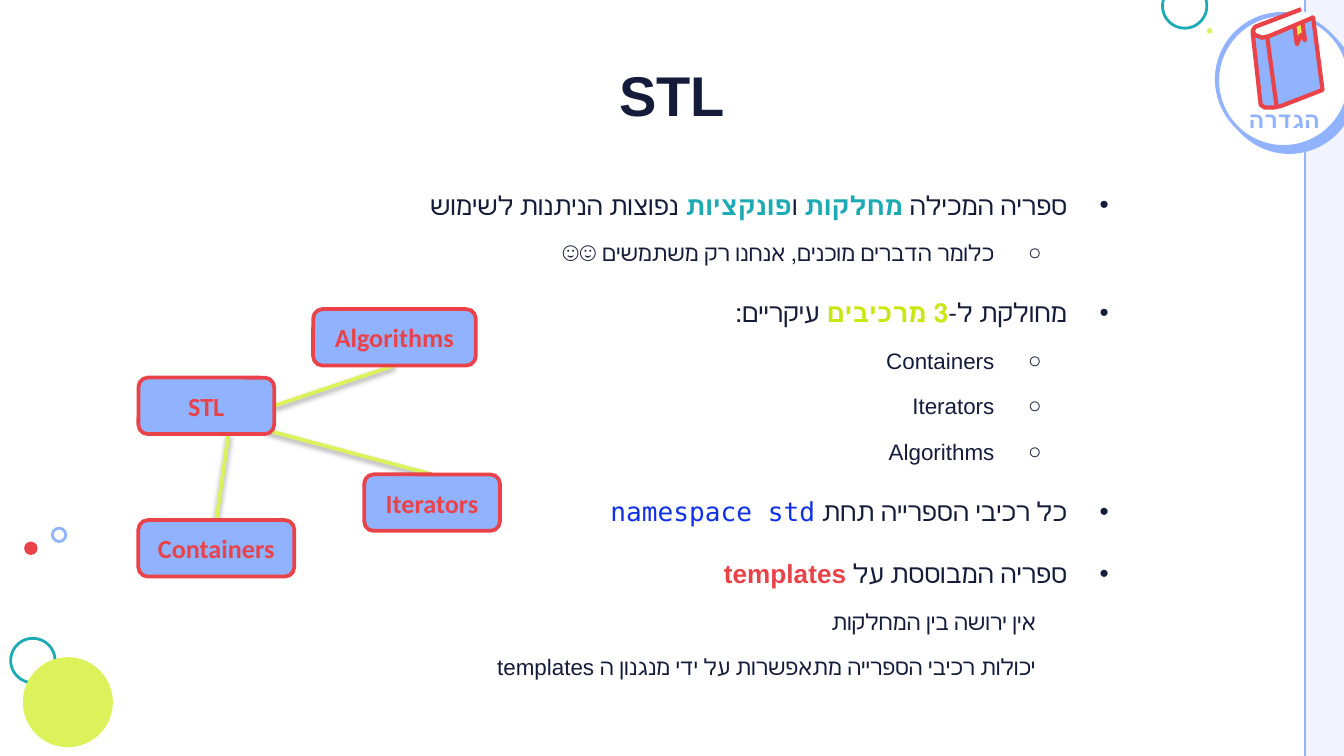
from lxml import etree
from pptx import Presentation
from pptx.dml.color import RGBColor
from pptx.enum import shapes, text
from pptx.oxml.ns import qn
from pptx.util import Inches, Pt

NAVY, BLUE, PALE, WHITE = "141C3A", "91B3FF", "F1F3FE", "FFFFFF"
TEAL, LIME, DARK_LIME, RED, CODE = "1CABB5", "DCF25B", "C8E712", "E94249", "1031E7"
WIDTH = 10
HEIGHT = WIDTH * 9 / 16


def color(hex_string):
    return RGBColor.from_string(hex_string)


def child(parent, tag, **attributes):
    return etree.SubElement(parent, qn(tag), {k: str(v) for k, v in attributes.items()})


def add_shadow(shape, hex_string, opacity, blur, distance, angle):
    effects = shape._element.spPr.find(qn("a:effectLst"))
    outer = child(effects, "a:outerShdw", blurRad=Pt(blur), dist=Pt(distance),
                  dir=angle * 60000, algn="ctr", rotWithShape=0)
    tint = child(outer, "a:srgbClr", val=hex_string)
    child(tint, "a:alpha", val=opacity * 1000)


def paint(shape, fill=None, line=None, width=1.5):
    shape.shadow.inherit = False
    if fill:
        shape.fill.solid()
        shape.fill.fore_color.rgb = color(fill)
    else:
        shape.fill.background()
    if line:
        shape.line.color.rgb = color(line)
        shape.line.width = Pt(width)
    else:
        shape.line.fill.background()


def add_preset(slide, preset, box, **style):
    shape = slide.shapes.add_shape(preset, *map(Inches, box))
    paint(shape, **style)
    return shape


def add_line(slide, start, end, hex_string, width):
    line = slide.shapes.add_connector(shapes.MSO_CONNECTOR.STRAIGHT,
                                      *map(Inches, start + end))
    line.line.color.rgb = color(hex_string)
    line.line.width = Pt(width)
    child(line._element.spPr, "a:effectLst")
    return line


def add_outline(slide, points, fill=None):
    corners = [(Inches(x), Inches(y)) for x, y in points]
    builder = slide.shapes.build_freeform(*corners[0])
    builder.add_line_segments(corners[1:], close=False)
    paint(builder.convert_to_shape(), fill, RED, 2.25)


def style_font(paragraph, size, hex_string, name="Arial", bold=False):
    font = paragraph.font
    font.size, font.name, font.bold = Pt(size), name, bold
    font.color.rgb = color(hex_string)


def add_text_box(slide, box, anchor):
    frame = slide.shapes.add_textbox(*map(Inches, box)).text_frame
    frame.word_wrap = True
    frame.vertical_anchor = anchor
    frame.margin_left = frame.margin_right = frame.margin_top = frame.margin_bottom = 0
    return frame


def add_label(slide, box, wording, size, hex_string, anchor, spacing=1.0):
    paragraph = add_text_box(slide, box, anchor).paragraphs[0]
    paragraph.text = wording
    paragraph.alignment = text.PP_ALIGN.CENTER
    paragraph.line_spacing = spacing
    paragraph._p.get_or_add_pPr().set("rtl", "1")
    style_font(paragraph, size, hex_string, bold=True)


def add_points(slide, box, points):
    frame = add_text_box(slide, box, text.MSO_ANCHOR.MIDDLE)
    frame.margin_bottom = Inches(0.22)
    # level, bullet, margin, indent, size, space before
    kinds = {"main": (0, "•", 0.46, -0.31, 14, 16.5),
             "sub": (1, "○", 1, -0.35, 12, 10),
             "plain": (1, None, 0.69, 0, 12, 10)}
    for i, (kind, *runs) in enumerate(points):
        level, bullet, margin, indent, size, before = kinds[kind]
        paragraph = frame.add_paragraph() if i else frame.paragraphs[0]
        paragraph.level = level
        paragraph.alignment = text.PP_ALIGN.RIGHT
        paragraph.space_before = Pt(before if i else 0)
        properties = paragraph._p.get_or_add_pPr()
        for key, value in (("rtl", 1), ("marL", Inches(margin)), ("marR", 0),
                           ("indent", Inches(indent))):
            properties.set(key, str(value))
        if bullet:
            child(child(properties, "a:buClr"), "a:srgbClr", val=NAVY)
            child(properties, "a:buFont", typeface="Arial")
            child(properties, "a:buChar", char=bullet)
        style_font(paragraph, size, NAVY)
        for wording, accent in runs:
            run = paragraph.add_run()
            run.text = wording
            if accent:
                run.font.color.rgb = color(accent)
                if accent == CODE:
                    run.font.name = "DejaVu Sans Mono"
                else:
                    run.font.bold = True


def add_background(slide):
    add_preset(slide, shapes.MSO_SHAPE.RECTANGLE, (9.71, 0, 0.29, HEIGHT), fill=PALE)
    add_line(slide, (9.71, -0.08), (9.71, 5.67), BLUE, 1.5)
    for left, top, size, fill, line in (
            (8.65, -0.12, 0.33, None, TEAL), (9.05, 0.1, 0.98, WHITE, BLUE),
            (0.08, 4.75, 0.33, None, TEAL), (0.17, 4.89, 0.67, LIME, None),
            (0.18, 4.03, 0.1, RED, None), (0.39, 3.93, 0.1, None, BLUE),
            (8.98, 0.21, 0.04, LIME, None)):
        circle = add_preset(slide, shapes.MSO_SHAPE.OVAL, (left, top, size, size),
                            fill=fill, line=line)
        if fill == WHITE:
            add_shadow(circle, BLUE, 100, 0, 4.5, 46)


def add_definition_badge(slide):
    disc = add_preset(slide, shapes.MSO_SHAPE.OVAL, (9.06, 0.11, 0.98, 0.98),
                      fill=WHITE, line=BLUE)
    add_shadow(disc, BLUE, 100, 0, 4.5, 46)
    add_label(slide, (9.16, 0.7, 0.79, 0.29), "הגדרה", 12, BLUE,
              text.MSO_ANCHOR.BOTTOM, 0.8)
    # Book: cover, spine, bookmark, page edge, pages
    pages = [(9.68, 0.07), (9.34, 0.2), (9.32, 0.23), (9.33, 0.25), (9.34, 0.26),
             (9.39, 0.28), (9.44, 0.27), (9.77, 0.13)]
    add_outline(slide, pages + [(9.84, 0.67), (9.53, 0.79), (9.48, 0.8), (9.44, 0.8),
                                (9.41, 0.8), (9.38, 0.78), (9.32, 0.24)], BLUE)
    add_outline(slide, [(9.43, 0.28), (9.5, 0.8)])
    add_outline(slide, [(9.69, 0.16), (9.71, 0.3), (9.68, 0.26), (9.65, 0.33),
                        (9.63, 0.19)], LIME)
    add_outline(slide, [(9.65, 0.08), (9.75, 0.14)])
    add_outline(slide, pages, WHITE)


def add_diagram(slide):
    nodes = {}
    for name, left, top, width in (("STL", 1.03, 2.81, 1.01), ("Algorithms", 2.33, 2.3, 1.21),
                                   ("Containers", 1.03, 3.87, 1.16),
                                   ("Iterators", 2.71, 3.53, 1.01)):
        node = add_preset(slide, shapes.MSO_SHAPE.ROUNDED_RECTANGLE,
                          (left, top, width, 0.42), fill=BLUE, line=RED, width=2)
        node.text_frame.vertical_anchor = text.MSO_ANCHOR.MIDDLE
        paragraph = node.text_frame.paragraphs[0]
        paragraph.text = name
        paragraph.alignment = text.PP_ALIGN.CENTER
        style_font(paragraph, 14, RED, "Calibri", True)
        nodes[name] = node
    # Links lie behind the nodes
    for name, start, end, side in (("Iterators", (1.98, 3.2), (3.21, 3.53), 0),
                                   ("Containers", (1.7, 3.23), (1.61, 3.87), 0),
                                   ("Algorithms", (2.04, 3.02), (2.93, 2.72), 2)):
        link = add_line(slide, start, end, LIME, 2)
        if name == "Algorithms":
            link.begin_connect(nodes["STL"], 3)
        link.end_connect(nodes[name], side)
        add_shadow(link, "000000", 38, 3.1, 1.6, 90)
        nodes["STL"]._element.addprevious(link._element)


def main():
    deck = Presentation()
    deck.slide_width, deck.slide_height = Inches(WIDTH), Inches(HEIGHT)
    slide = deck.slides.add_slide(deck.slide_layouts[6])
    add_background(slide)
    add_points(slide, (2.86, 1.33, 5.54, 4.03), [
        ("main", ("ספריה המכילה ", None), ("מחלקות", TEAL), (" ו", None),
         ("פונקציות", TEAL), (" נפוצות הניתנות לשימוש", None)),
        ("sub", ("כלומר הדברים מוכנים, אנחנו רק משתמשים ☺☺", None)),
        ("main", ("מחולקת ל-", None), ("3 מרכיבים ", DARK_LIME), ("עיקריים:", None)),
        *[("sub", (part, None)) for part in ("Containers", "Iterators", "Algorithms")],
        ("main", ("כל רכיבי הספרייה תחת ", None), ("namespace std", CODE)),
        ("main", ("ספריה המבוססת על ", None), ("templates", RED)),
        ("plain", ("אין ירושה בין המחלקות", None)),
        ("plain", ("יכולות רכיבי הספרייה מתאפשרות על ידי מנגנון ה templates", None)),
    ])
    add_label(slide, (0.59, 0.45, 8.82, 0.72), "STL", 30, NAVY, text.MSO_ANCHOR.TOP)
    add_definition_badge(slide)
    add_diagram(slide)
    deck.save("out.pptx")


if __name__ == "__main__":
    main()
